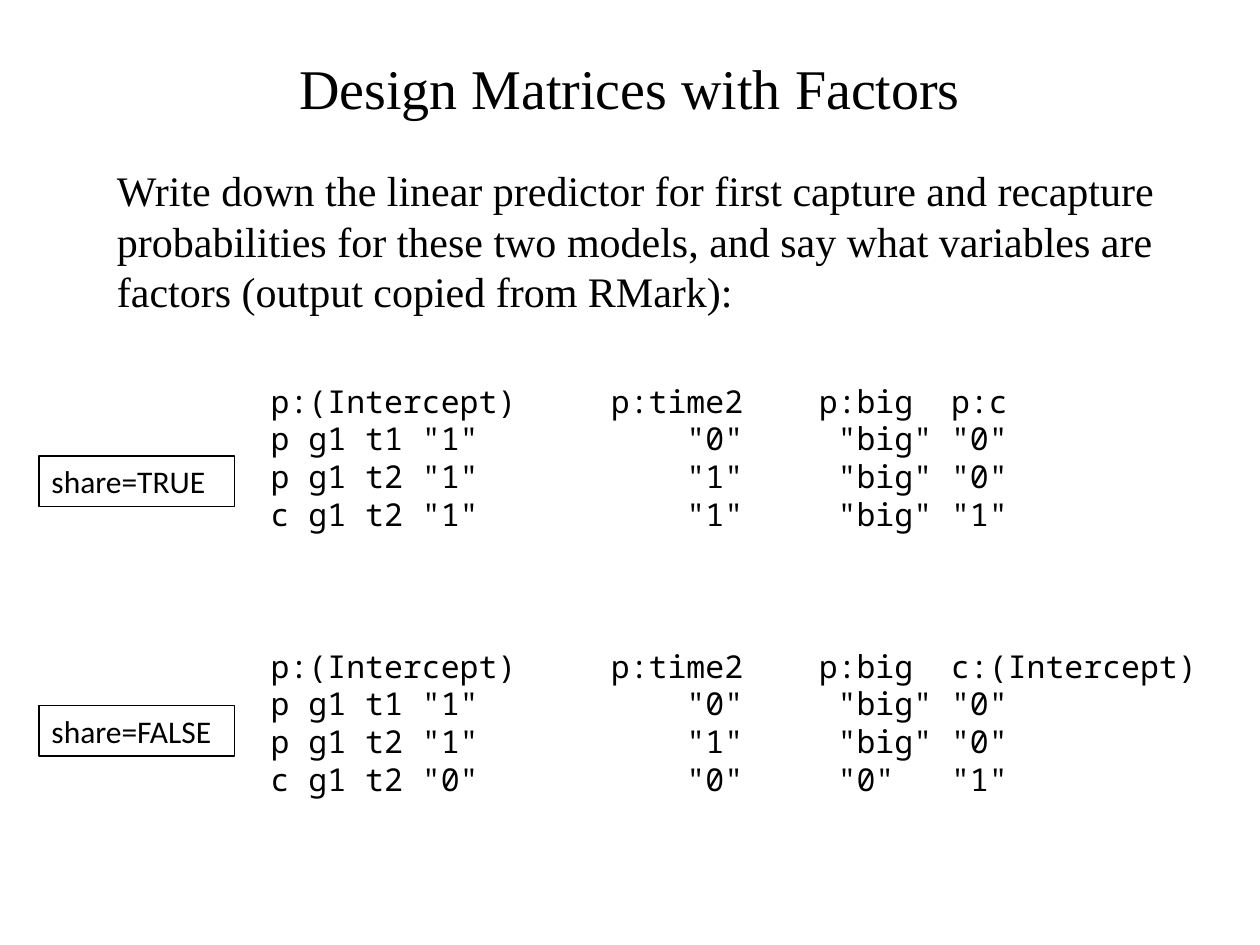
from lxml.etree import SubElement
from pptx import Presentation
from pptx.dml.color import RGBColor
from pptx.enum.shapes import MSO_SHAPE
from pptx.enum.text import MSO_ANCHOR, MSO_AUTO_SIZE, PP_ALIGN
from pptx.oxml.ns import qn
from pptx.util import Inches, Pt

TITLE = "Design Matrices with Factors"
QUESTION = [
    "Write down the linear predictor for first capture and recapture",
    "probabilities for these two models, and say what variables are",
    "factors (output copied from RMark):",
]
MODELS = [
    {
        "label": "share=TRUE", "label_top": 3.62,
        "header": ["p:(Intercept)", "p:time2", "p:big", "p:c"],
        "rows": [
            ['p g1 t1 "1"', '"0"', '"big"', '"0"'],
            ['p g1 t2 "1"', '"1"', '"big"', '"0"'],
            ['c g1 t2 "1"', '"1"', '"big"', '"1"'],
        ],
    },
    {
        "label": "share=FALSE", "label_top": 5.6,
        "header": ["p:(Intercept)", "p:time2", "p:big", "c:(Intercept)"],
        "rows": [
            ['p g1 t1 "1"', '"0"', '"big"', '"0"'],
            ['p g1 t2 "1"', '"1"', '"big"', '"0"'],
            ['c g1 t2 "0"', '"0"', '"0"', '"1"'],
        ],
    },
]
# Columns are counted in characters of the fixed-width font.
CHAR_WIDTH = 0.15
HEADER_STOPS = [18, 29, 36]
ROW_STOPS = [22, 30, 36]
MODEL_GAP = Pt(65)

THEME = {
    "ink": RGBColor(0, 0, 0),
    "title": ("Times New Roman", Pt(32)),
    "question": ("Times New Roman", Pt(24)),
    "matrix": ("Noto Sans Mono", Pt(18)),
    "label": ("Calibri", Pt(18)),
}


def box(left, top, width, height):
    return [Inches(value) for value in (left, top, width, height)]


def style(paragraph, role, align=PP_ALIGN.LEFT):
    paragraph.alignment = align
    for run in paragraph.runs:
        run.font.name, run.font.size = THEME[role]
        run.font.color.rgb = THEME["ink"]


def set_tab_stops(paragraph, columns):
    tabs = SubElement(paragraph._p.get_or_add_pPr(), qn("a:tabLst"))
    for column in columns:
        SubElement(tabs, qn("a:tab"), pos=str(Inches(column * CHAR_WIDTH)), algn="l")


def add_title(slide):
    title = slide.shapes.title
    title.left, title.top, title.width, title.height = box(0.5, 0.3, 9, 0.78)
    title.text_frame.text = TITLE
    title.text_frame.vertical_anchor = MSO_ANCHOR.MIDDLE
    style(title.text_frame.paragraphs[0], "title", PP_ALIGN.CENTER)


def add_text(slide, bounds, lines, role, wrap):
    frame = slide.shapes.add_textbox(*box(*bounds)).text_frame
    frame.text = "\n".join(lines)
    frame.word_wrap = wrap
    frame.auto_size = MSO_AUTO_SIZE.SHAPE_TO_FIT_TEXT
    for paragraph in frame.paragraphs:
        style(paragraph, role)
    return frame.paragraphs


def add_matrices(slide):
    """Both design matrices in one text box, aligned by tab stops."""
    lines, stops, header_lines = [], [], []
    for model in MODELS:
        header_lines.append(len(lines))
        lines += ["\t".join(cells) for cells in [model["header"], *model["rows"]]]
        stops += [HEADER_STOPS] + [ROW_STOPS] * len(model["rows"])
    paragraphs = add_text(slide, (2.05, 2.98, 7.6, 3.43), lines, "matrix", True)
    for header_line in header_lines[1:]:
        paragraphs[header_line].space_before = MODEL_GAP
    for paragraph, columns in zip(paragraphs, stops):
        set_tab_stops(paragraph, columns)


def add_label(slide, model):
    label = slide.shapes.add_shape(
        MSO_SHAPE.RECTANGLE, *box(0.31, model["label_top"], 1.55, 0.4))
    label.shadow.inherit = False
    label.fill.background()
    label.line.color.rgb = THEME["ink"]
    label.line.width = Pt(0.75)
    frame = label.text_frame
    frame.text = model["label"]
    frame.word_wrap = True
    frame.vertical_anchor = MSO_ANCHOR.TOP
    frame.auto_size = MSO_AUTO_SIZE.SHAPE_TO_FIT_TEXT
    style(frame.paragraphs[0], "label")


def main():
    deck = Presentation()
    deck.slide_width, deck.slide_height = Inches(10), Inches(7.5)
    slide = deck.slides.add_slide(deck.slide_layouts.get_by_name("Title Only"))
    add_title(slide)
    add_text(slide, (0.83, 1.26, 8.52, 1.31), QUESTION, "question", False)
    add_matrices(slide)
    for model in MODELS:
        add_label(slide, model)
    deck.save("out.pptx")


if __name__ == "__main__":
    main()
